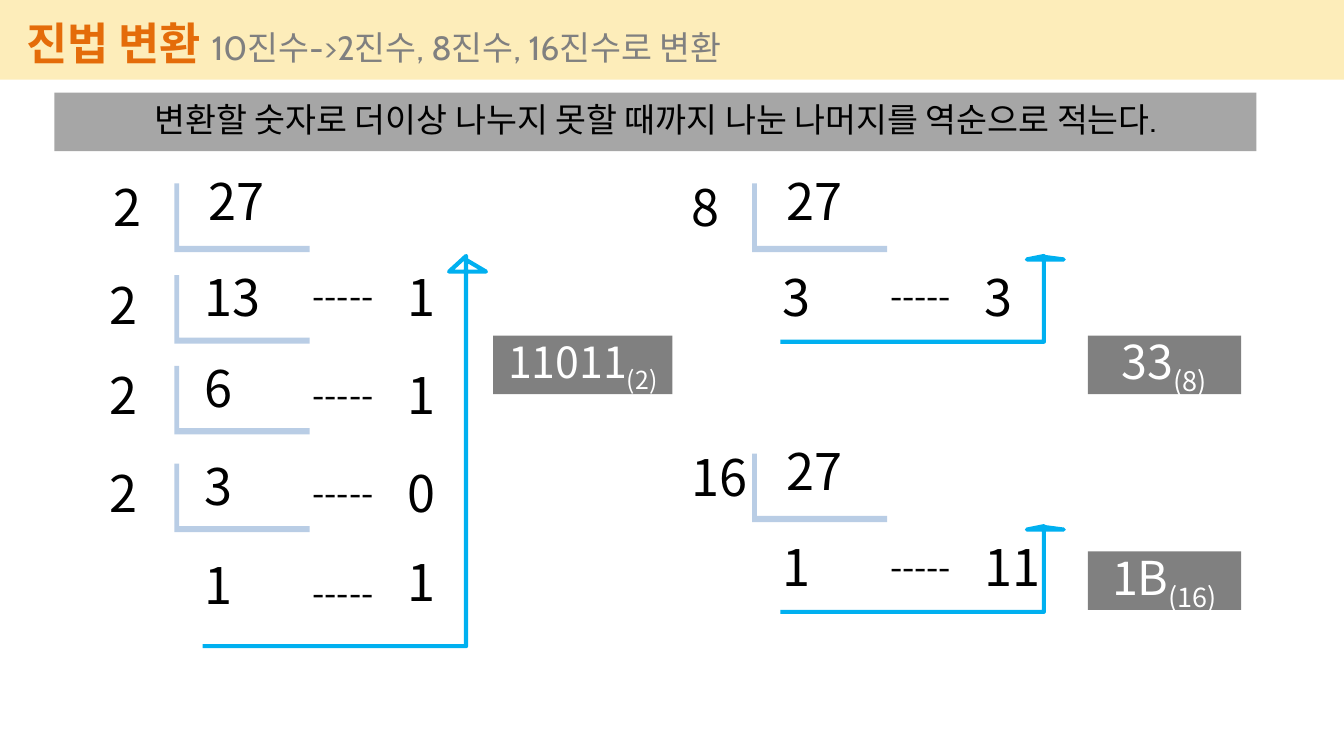
from lxml.etree import SubElement
from pptx import Presentation
from pptx.dml.color import RGBColor
from pptx.enum.shapes import MSO_SHAPE
from pptx.enum.text import MSO_ANCHOR, PP_ALIGN
from pptx.oxml.ns import qn
from pptx.util import Inches, Pt

COLORS = {
    "band": "FABE00", "title": "E46C0A", "subtitle": "808080", "rule": "A6A6A6",
    "bracket": "B9CDE5", "arrow": "00B0F0", "result": "808080",
    "ink": "000000", "paper": "FFFFFF",
}
HEADING, DIGITS = "Cabin", "Noto Sans CJK KR"
WIDTH, HEIGHT = 13.33, 7.5
CELL = (0.94, 0.79)
COLUMNS = {"divisor": 0, "bracket": 0.74, "quotient": 0.94, "dashes": 2.01, "remainder": 2.95}
FIRST_ROW_SHIFT = 0.04
ROWS = [
    {"quotient": 0, "bracket": 0.23, "divisor": 0.06},
    {"quotient": 0.95, "bracket": 1.14, "divisor": 1.03, "dashes": 0.95, "remainder": 0.95},
    {"quotient": 1.86, "bracket": 2.04, "divisor": 1.93, "dashes": 1.93, "remainder": 1.93},
    {"quotient": 2.83, "bracket": 3.01, "divisor": 2.9, "dashes": 2.9, "remainder": 2.9},
    {"quotient": 3.81, "dashes": 3.89, "remainder": 3.78},
]
ARROW_SHARES = [(0, 1), (0.93, 1), (0.93, 0), (0.87, 0.04), (1, 0.04), (0.93, 0.01)]
DIVISIONS = [
    {"box": (0.99, 1.59, 3.83, 4.82), "base": "2",
     "quotients": ["27", "13", "6", "3", "1"], "remainders": ["1", "1", "0", "1"]},
    {"box": (6.72, 1.59, 3.83, 1.8), "base": "8",
     "quotients": ["27", "3"], "remainders": ["3"]},
    {"box": (6.72, 4.27, 3.83, 1.8), "base": "16",
     "quotients": ["27", "1"], "remainders": ["11"]},
]
RESULTS = [
    ((4.89, 3.33, 1.78, 0.58), "11011", "(2)", 30.6),
    ((10.79, 3.33, 1.52, 0.58), "33", "(8)", 33.3),
    ((10.79, 5.47, 1.52, 0.58), "1B", "(16)", 33.3),
]


def style(font, size, color, name):
    """Set size, colour and typeface on a font."""
    font.size, font.name = Pt(size), name
    font.color.rgb = RGBColor.from_string(COLORS[color])


def add_panel(slide, box, color, preset=MSO_SHAPE.RECTANGLE):
    """Add a flat filled shape without outline."""
    panel = slide.shapes.add_shape(preset, *map(Inches, box))
    panel.shadow.inherit = False
    panel.fill.solid()
    panel.fill.fore_color.rgb = RGBColor.from_string(COLORS[color])
    panel.line.fill.background()
    return panel


def prepare(shape):
    """Centre the text vertically, wrap it and return its first paragraph."""
    frame = shape.text_frame
    frame.word_wrap = True
    frame.vertical_anchor = MSO_ANCHOR.MIDDLE
    return frame.paragraphs[0]


def add_label(slide, left, top, text, size=36):
    """Add one number or dash row of a division."""
    paragraph = prepare(slide.shapes.add_textbox(*map(Inches, (left, top, *CELL))))
    paragraph.text = text
    style(paragraph.font, size, "ink", DIGITS)


def add_header(slide, box):
    """Draw the translucent band with the title and subtitle."""
    left, top, width, height = box
    band = add_panel(slide, box, "band")
    tint = next(band._element.spPr.iter(qn("a:srgbClr")))
    SubElement(tint, qn("a:alpha")).set("val", "27000")
    title_box = (left + 0.16, top + 0.06, width * 0.85, height - 0.06)
    paragraph = prepare(slide.shapes.add_textbox(*map(Inches, title_box)))
    for text, size, color, bold in [
        ("진법 변환 ", 32, "title", True),
        ("10진수->2진수, 8진수, 16진수로 변환", 24, "subtitle", False),
    ]:
        run = paragraph.add_run()
        run.text = text
        run.font.bold = bold
        style(run.font, size, color, HEADING)


def add_rule(slide, box):
    """Draw the bar that states the conversion rule."""
    paragraph = prepare(add_panel(slide, box, "rule"))
    paragraph.text = "변환할 숫자로 더이상 나누지 못할 때까지 나눈 나머지를 역순으로 적는다."
    paragraph.alignment = PP_ALIGN.CENTER
    paragraph.line_spacing = 0.9
    paragraph.space_before = Pt(4.8)
    style(paragraph.font, 24, "ink", HEADING)


def add_arrow(slide, box):
    """Draw the reading-order arrow along the bottom and up the right side."""
    left, top, width, height = box
    points = [(Inches(left + x * width), Inches(top + y * height)) for x, y in ARROW_SHARES]
    builder = slide.shapes.build_freeform(*points[0])
    builder.add_line_segments(points[1:], close=False)
    arrow = builder.convert_to_shape()
    arrow.shadow.inherit = False
    arrow.fill.background()
    arrow.line.color.rgb = RGBColor.from_string(COLORS["arrow"])
    arrow.line.width = Pt(3)


def add_division(slide, box, base, quotients, remainders):
    """Draw a repeated division with its brackets, remainders and arrow."""
    left, top, width, height = box
    last = len(quotients) - 1
    for index, (quotient, row) in enumerate(zip(quotients, ROWS)):
        shift = 0 if index else FIRST_ROW_SHIFT
        add_label(slide, left + COLUMNS["quotient"] + shift, top + row["quotient"], quotient)
        if index < last:
            bracket_box = (left + COLUMNS["bracket"], top + row["bracket"], 1.34, 0.68)
            bracket = add_panel(slide, bracket_box, "bracket", MSO_SHAPE.CORNER)
            bracket.adjustments[0], bracket.adjustments[1] = 0.09, 0.07
            add_label(slide, left + COLUMNS["divisor"] + shift, top + row["divisor"], base)
        if index:
            add_label(slide, left + COLUMNS["remainder"], top + row["remainder"],
                      remainders[index - 1])
            add_label(slide, left + COLUMNS["dashes"], top + row["dashes"], "-----", 25.2)
    arrow_top = ROWS[1]["quotient"]
    add_arrow(slide, (left + 1.02, top + arrow_top, width - 1.02, height - arrow_top))


def add_result(slide, box, digits, base, size):
    """Draw a converted number with its base as a subscript."""
    paragraph = prepare(add_panel(slide, box, "result"))
    paragraph.alignment = PP_ALIGN.CENTER
    style(paragraph.font, size, "paper", DIGITS)
    paragraph.add_run().text = digits
    subscript = paragraph.add_run()
    subscript.text = base
    subscript._r.get_or_add_rPr().set("baseline", "-25000")


def main():
    """Build the base conversion slide and save it."""
    deck = Presentation()
    deck.slide_width, deck.slide_height = Inches(WIDTH), Inches(HEIGHT)
    slide = deck.slides.add_slide(deck.slide_layouts[6])
    add_header(slide, (0, 0, WIDTH, 0.79))
    add_rule(slide, (0.54, 0.92, 11.92, 0.58))
    for division in DIVISIONS:
        add_division(slide, **division)
    for result in RESULTS:
        add_result(slide, *result)
    deck.save("out.pptx")


if __name__ == "__main__":
    main()
